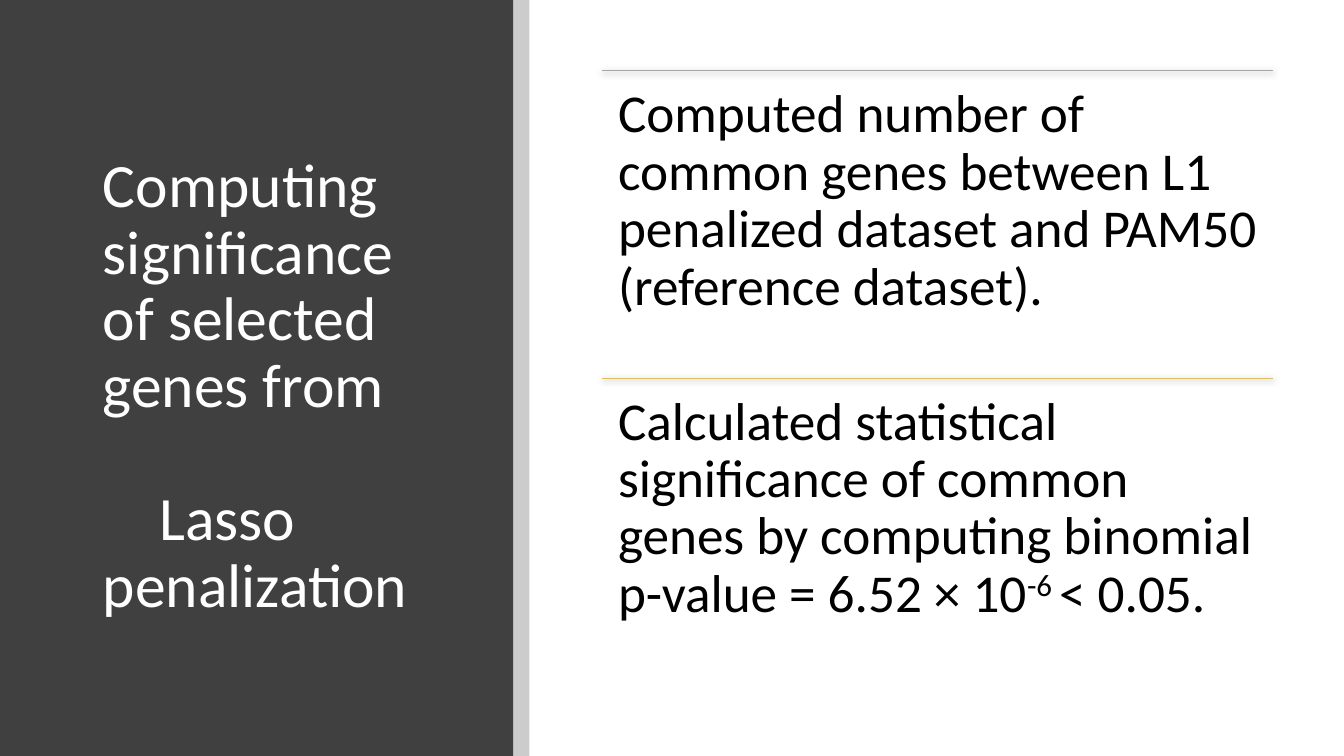
"""Build the slide on the significance of genes selected by Lasso penalization."""
from lxml import etree
from pptx import Presentation
from pptx.dml.color import RGBColor
from pptx.enum.shapes import MSO_CONNECTOR, MSO_SHAPE
from pptx.enum.text import MSO_ANCHOR, MSO_AUTO_SIZE, PP_ALIGN
from pptx.oxml import parse_xml
from pptx.oxml.ns import nsdecls, qn
from pptx.util import Inches, Pt

RECTANGLE = MSO_SHAPE.RECTANGLE
STRAIGHT = MSO_CONNECTOR.STRAIGHT
MIDDLE = MSO_ANCHOR.MIDDLE
TOP = MSO_ANCHOR.TOP
NO_AUTOFIT = MSO_AUTO_SIZE.NONE
LEFT = PP_ALIGN.LEFT

WHITE = RGBColor(0xFF, 0xFF, 0xFF)
BLACK = RGBColor(0x00, 0x00, 0x00)
CHARCOAL = RGBColor(0x40, 0x40, 0x40)
GRAY = RGBColor(0xA5, 0xA5, 0xA5)
GOLD = RGBColor(0xFF, 0xC0, 0x00)

FONT = "Calibri"
TITLE_SIZE = 44
BODY_SIZE = 38
SUPERSCRIPT = "30000"

STEP_LEFT, STEP_TOP = 5.97, 0.7
STEP_WIDTH, STEP_HEIGHT = 6.66, 3.05

TITLE = ["Computing significance of selected genes from", "Lasso penalization"]
STEPS = [
    (GRAY, [("Computed number of common genes between L1 penalized dataset "
             "and PAM50 (reference dataset).", False)]),
    (GOLD, [("Calculated statistical significance of common genes by computing "
             "binomial p-value = 6.52 × 10", False),
            ("-6 ", True),
            ("< 0.05.", False)]),
]


class SlideBuilder:
    """Hold the text style and the current slide."""

    def __init__(self, slide):
        self.slide = slide
        self.shapes = slide.shapes

    def panel(self, left, width, color, opacity=100):
        shape = self.shapes.add_shape(
            RECTANGLE, Inches(left), Inches(0), Inches(width), Inches(7.5))
        shape.shadow.inherit = False
        shape.fill.solid()
        shape.fill.fore_color.rgb = color
        shape.line.fill.background()
        if opacity < 100:
            color_node = shape.fill._xPr.find(qn("a:solidFill"))[0]
            etree.SubElement(color_node, qn("a:alpha")).set("val", str(opacity * 1000))

    def rule(self, left, top, width, color):
        line = self.shapes.add_connector(
            STRAIGHT, Inches(left), Inches(top), Inches(left + width), Inches(top))
        line.line.color.rgb = color
        line.line.width = Pt(0.5)
        line._element.spPr.append(parse_xml(
            f'<a:effectLst {nsdecls("a")}>'
            f'<a:outerShdw blurRad="{Pt(4.5)}" dist="{Pt(1.5)}" dir="5400000">'
            '<a:srgbClr val="000000"><a:alpha val="63000"/></a:srgbClr>'
            '</a:outerShdw></a:effectLst>'))

    def add_run(self, paragraph, text, size, color, raised=False):
        paragraph.alignment = LEFT
        paragraph.line_spacing = 0.9
        run = paragraph.add_run()
        run.text = text
        run.font.name = FONT
        run.font.size = Pt(size)
        run.font.color.rgb = color
        if raised:
            run.font._element.set("baseline", SUPERSCRIPT)

    def title(self, left, top, width, height, lines):
        shape = self.shapes.title
        self.shapes._spTree.append(shape._element)
        shape.left, shape.top = Inches(left), Inches(top)
        shape.width, shape.height = Inches(width), Inches(height)
        frame = shape.text_frame
        frame.word_wrap = True
        frame.auto_size = NO_AUTOFIT
        frame.vertical_anchor = MIDDLE
        first, second = frame.paragraphs[0], frame.add_paragraph()
        for paragraph, text in zip((first, second), lines):
            self.add_run(paragraph, text, TITLE_SIZE, WHITE)
        second.space_before = Pt(48)
        properties = second._p.get_or_add_pPr()
        properties.set("marL", "0")
        properties.set("indent", str(Inches(0.56)))

    def text(self, left, top, width, height, runs):
        box = self.shapes.add_textbox(
            Inches(left), Inches(top), Inches(width), Inches(height))
        frame = box.text_frame
        frame.word_wrap = True
        frame.vertical_anchor = TOP
        frame.margin_left = frame.margin_right = Inches(0.16)
        frame.margin_top = frame.margin_bottom = Inches(0.16)
        for text, raised in runs:
            self.add_run(frame.paragraphs[0], text, BODY_SIZE, BLACK, raised)


presentation = Presentation()
presentation.slide_width = Inches(13.33)
presentation.slide_height = Inches(7.5)
title_only = presentation.slide_layouts.get_by_name("Title Only")
builder = SlideBuilder(presentation.slides.add_slide(title_only))

builder.panel(0, 5.09, CHARCOAL)
builder.panel(5.09, 0.16, BLACK, opacity=20)
builder.title(0.92, 0.89, 3.65, 5.91, TITLE)
for index, (rule_color, step_runs) in enumerate(STEPS):
    step_top = STEP_TOP + index * STEP_HEIGHT
    builder.rule(STEP_LEFT, step_top, STEP_WIDTH, rule_color)
    builder.text(STEP_LEFT, step_top, STEP_WIDTH, STEP_HEIGHT, step_runs)

presentation.save("out.pptx")
